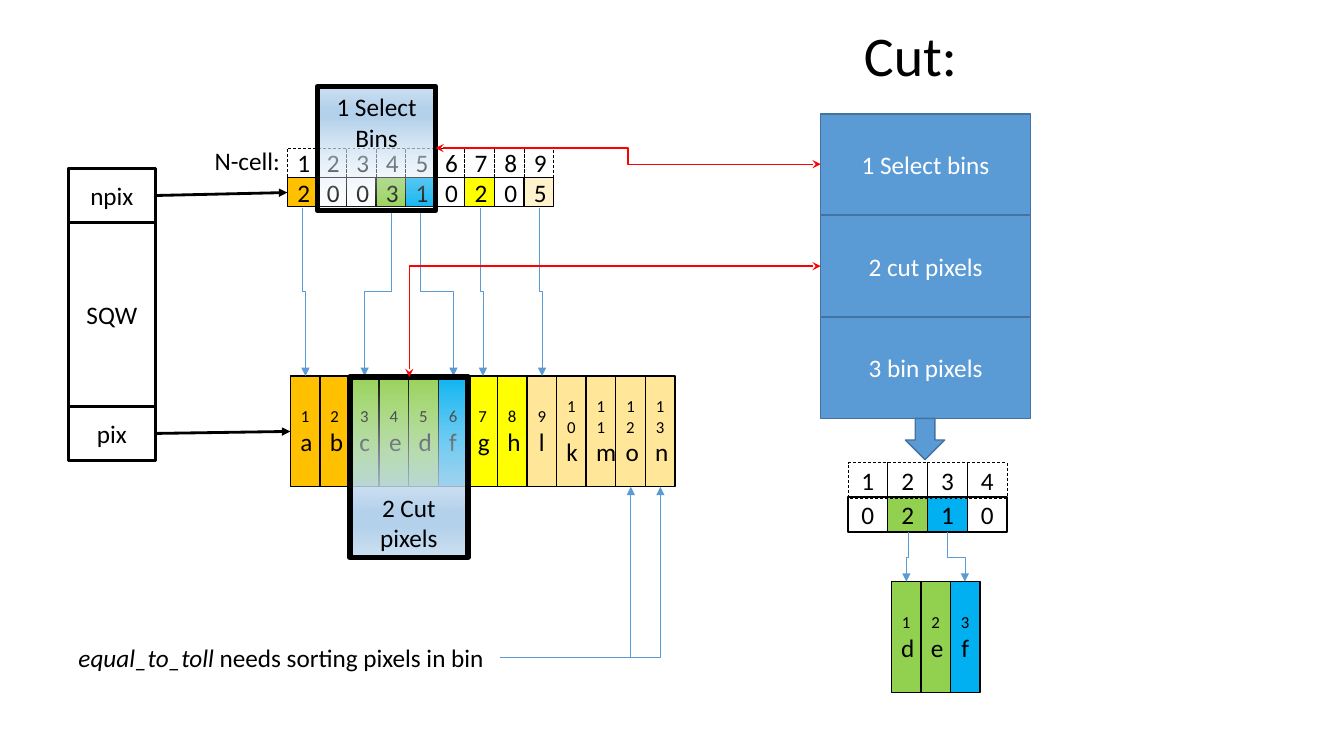
from dataclasses import dataclass

from lxml import etree
from pptx import Presentation
from pptx import util as u
from pptx.dml.color import RGBColor
from pptx.enum import dml, shapes, text
from pptx.oxml import ns


@dataclass(frozen=True)
class Theme:
    font: str = "Calibri"
    black: str = "000000"
    white: str = "FFFFFF"
    red: str = "FF0000"
    blue: str = "5B9BD5"
    edge: str = "43739E"
    gold: str = "FFC000"
    green: str = "92D050"
    sky: str = "00B0F0"
    yellow: str = "FFFF00"
    cream: str = "FFF2CC"
    sand: str = "FFE699"
    glass: tuple = ((0, "F7FAFD", 5), (74, "B5D2EC", 100), (83, "B5D2EC", 100), (100, "CEE1F2", 100))
    title: int = 40
    body: int = 18
    small: int = 12


@dataclass(frozen=True)
class Box:
    left: float
    top: float
    width: float
    height: float

    def place(self) -> tuple:
        return tuple(u.Inches(v) for v in (self.left, self.top, self.width, self.height))


@dataclass(frozen=True)
class Cell:
    label: str
    fill: str | None = None


@dataclass(frozen=True)
class Wire:
    start: tuple
    end: tuple
    color: str
    width: float
    form: str = "line"
    head: str | None = None
    tail: str = "triangle"


T = Theme()
STEP = 2.64 / 9
BIN = 0.395
KIND = shapes.MSO_SHAPE
ANCHOR = text.MSO_ANCHOR
CENTER = text.PP_ALIGN.CENTER


def say(para, words: str, *, size: int = T.body, ink: str = T.black, align=None, italic: bool = False) -> None:
    run = para.add_run()
    run.text = words
    run.font.name = T.font
    run.font.size = u.Pt(size)
    run.font.italic = italic
    run.font.color.rgb = RGBColor.from_string(ink)
    if align is not None:
        para.alignment = align


def glaze(shape, angle: int) -> None:
    shape.fill.background()
    old = shape._element.spPr.find(ns.qn("a:noFill"))
    grad = etree.Element(ns.qn("a:gradFill"), rotWithShape="1")
    stops = etree.SubElement(grad, ns.qn("a:gsLst"))
    for pos, color, alpha in T.glass:
        stop = etree.SubElement(stops, ns.qn("a:gs"), pos=str(pos * 1000))
        tint = etree.SubElement(stop, ns.qn("a:srgbClr"), val=color)
        etree.SubElement(tint, ns.qn("a:alpha"), val=str(alpha * 1000))
    etree.SubElement(grad, ns.qn("a:lin"), ang=str(angle * 60000), scaled="0")
    old.getparent().replace(old, grad)


def draw(host, box: Box, label: str = "", fill: str | None = None, *, kind=KIND.RECTANGLE, line: str = T.black,
         width: float = 1, dash: bool = False, ink: str = T.black, anchor=ANCHOR.MIDDLE):
    shape = host.shapes.add_shape(kind, *box.place())
    shape.shadow.inherit = False
    if fill:
        shape.fill.solid()
        shape.fill.fore_color.rgb = RGBColor.from_string(fill)
    else:
        shape.fill.background()
    shape.line.color.rgb = RGBColor.from_string(line)
    shape.line.width = u.Pt(width)
    if dash:
        shape.line.dash_style = dml.MSO_LINE.DASH
    frame = shape.text_frame
    frame.vertical_anchor = anchor
    lines = label.split("\n") if label else []
    for i, words in enumerate(lines):
        para = frame.add_paragraph() if i else frame.paragraphs[0]
        size = T.small if i < len(lines) - 1 else T.body
        say(para, words, size=size, ink=ink, align=CENTER)
    return shape


def row(host, cells: list[Cell], first: Box, step: float, **style) -> None:
    for i, cell in enumerate(cells):
        box = Box(first.left + i * step, first.top, first.width, first.height)
        draw(host, box, cell.label, cell.fill, **style)


def link(host, wire: Wire) -> None:
    (x1, y1), (x2, y2) = wire.start, wire.end
    bent = shapes.MSO_CONNECTOR.STRAIGHT if wire.form == "line" else shapes.MSO_CONNECTOR.ELBOW
    line = host.shapes.add_connector(bent, *(u.Inches(v) for v in (x1, y1, x2, y2)))
    props = line._element.spPr
    if wire.form == "drop":
        wide, high = abs(y2 - y1), abs(x2 - x1)
        box = Box((x1 + x2 - wide) / 2, (y1 + y2 - high) / 2, wide, high)
        line.left, line.top, line.width, line.height = box.place()
        frame = props.find(ns.qn("a:xfrm"))
        frame.attrib.clear()
        frame.set("rot", "16200000" if x2 > x1 else "5400000")
        if x2 > x1:
            frame.set("flipH", "1")
    elif wire.form == "corner":
        props.find(ns.qn("a:prstGeom")).set("prst", "bentConnector2")
    line.line.color.rgb = RGBColor.from_string(wire.color)
    line.line.width = u.Pt(wire.width)
    stroke = props.find(ns.qn("a:ln"))
    if wire.head:
        etree.SubElement(stroke, ns.qn("a:headEnd"), type=wire.head)
    etree.SubElement(stroke, ns.qn("a:tailEnd"), type=wire.tail)
    etree.SubElement(props, ns.qn("a:effectLst"))


def note(host, box: Box):
    frame = host.shapes.add_textbox(*box.place()).text_frame
    frame.word_wrap = False
    return frame.paragraphs[0]


def count(total: int) -> list[Cell]:
    return [Cell(str(i + 1)) for i in range(total)]


def pixels(names: str, fills: list[str]) -> list[Cell]:
    return [Cell(f"{i}\n{name}", fill) for i, (name, fill) in enumerate(zip(names, fills), 1)]


deck = Presentation()
deck.slide_width, deck.slide_height = u.Inches(13.33), u.Inches(7.5)
slide = deck.slides.add_slide(deck.slide_layouts[0])
hint = slide.placeholders[1]._element
hint.getparent().remove(hint)
title = slide.shapes.title
title.left, title.top, title.width, title.height = Box(8.29, 0.43, 1.48, 0.5).place()
title.text_frame.vertical_anchor = ANCHOR.BOTTOM
head = title.text_frame.paragraphs[0]
head.line_spacing = 0.9
say(head, "Cut:", size=T.title, align=CENTER)

draw(slide, Box(0.68, 1.67, 0.86, 2.9), "SQW", T.white, width=2)
link(slide, Wire((1.53, 1.94), (2.85, 1.91), T.black, 2))
for top, label in ((1.67, "npix"), (4.03, "pix")):
    draw(slide, Box(0.68, top, 0.86, 0.54), label, T.white, width=2)

fills = [T.gold, None, None, T.green, T.sky, None, T.yellow, None, T.cream]
sums = [Cell(n, fill) for n, fill in zip("200310205", fills)]
row(slide.shapes.add_group_shape(), sums, Box(2.85, 1.76, STEP, 0.29), STEP)
row(slide.shapes.add_group_shape(), count(9), Box(2.85, 1.47, STEP, 0.29), STEP, width=0.5, dash=True)
say(note(slide, Box(2.03, 1.39, 0.86, 0.4)), "N-cell:")

tints = [T.gold] * 2 + [T.green] * 3 + [T.sky] + [T.yellow] * 2 + [T.sand] * 5
row(slide, pixels("abcedfghlkmon", tints), Box(2.88, 3.73, STEP, 1.1), STEP)
row(slide, pixels("def", [T.green, T.green, T.sky]), Box(8.84, 5.77, STEP, 1.1), STEP)
link(slide, Wire((1.54, 4.3), (2.88, 4.28), T.black, 2))

for cell, pixel in ((0, 0), (3, 2), (4, 5), (6, 6), (8, 8)):
    start = (3 + cell * STEP, 2.06)
    link(slide, Wire(start, (3.03 + pixel * STEP, 3.73), T.blue, 0.5, "drop"))

glaze(draw(slide, Box(3.15, 0.86, 1.17, 1.23), "1 Select Bins", width=4, anchor=ANCHOR.TOP), 270)
glaze(draw(slide, Box(3.47, 3.74, 1.17, 1.79), "2 Cut pixels", width=4, anchor=ANCHOR.BOTTOM), 90)

for i, label in enumerate(("1 Select bins", "2 cut pixels", "3 bin pixels")):
    draw(slide, Box(8.14, 1.13 + i * 1.01, 2.08, 1), label, T.blue, line=T.edge, ink=T.white)
for start, end, form in (((8.14, 1.63), (4.32, 1.47), "elbow"), ((8.14, 2.64), (4.06, 3.74), "corner")):
    link(slide, Wire(start, end, T.red, 1, form, "stealth", "stealth"))

bins = slide.shapes.add_group_shape()
found = [Cell("0"), Cell("2", T.green), Cell("1", T.sky), Cell("0")]
row(bins, found, Box(8.41, 4.93, BIN, 0.35), BIN)
row(bins, count(4), Box(8.41, 4.59, BIN, 0.35), BIN, width=0.5, dash=True)
for start, end in ((9.01, 8.99), (9.4, 9.57)):
    link(slide, Wire((start, 5.28), (end, 5.77), T.blue, 0.5, "drop"))
draw(slide, Box(8.98, 4.15, 0.39, 0.41), fill=T.blue, kind=KIND.DOWN_ARROW, line=T.edge)

need = note(slide, Box(0.68, 6.32, 4.28, 0.4))
say(need, "equal_to_toll", italic=True)
say(need, " needs sorting pixels in bin")
for pixel in (11, 12):
    link(slide, Wire((4.96, 6.52), (3.03 + pixel * STEP, 4.83), T.blue, 0.5, "corner"))

deck.save("out.pptx")
